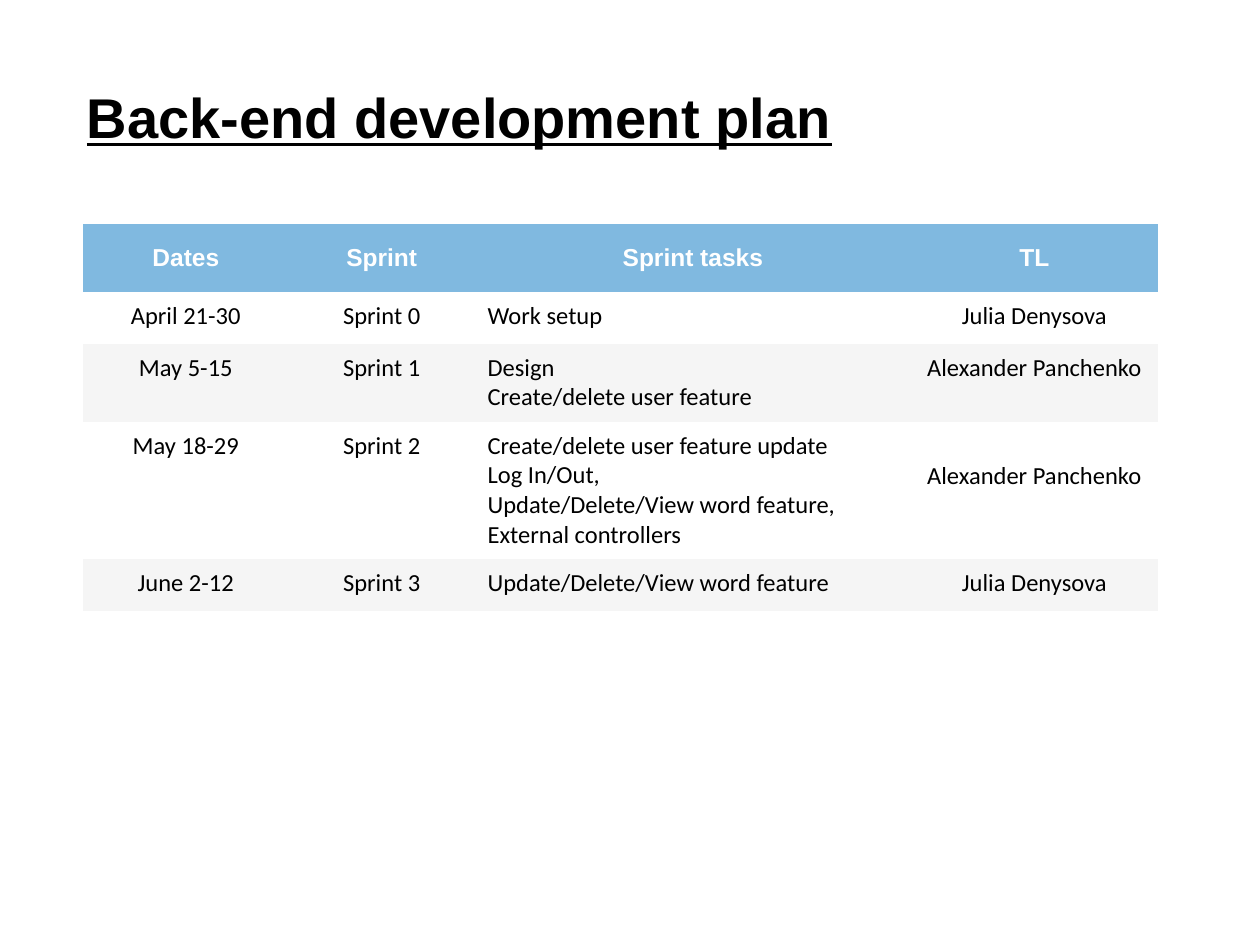
from dataclasses import dataclass
from typing import Optional

from pptx import Presentation
from pptx.dml.color import RGBColor
from pptx.enum.text import MSO_ANCHOR, PP_ALIGN
from pptx.oxml.ns import qn
from pptx.util import Inches, Pt


@dataclass(frozen=True)
class Theme:
    heading_font: str = "Arial"
    body_font: str = "Calibri"
    title_size: int = 32
    table_size: int = 14
    ink: str = "000000"
    header_ink: str = "FFFFFF"
    header_fill: str = "80B9E0"
    band_fill: str = "F5F5F5"
    plain_style: str = "{2D5ABB26-0587-4C30-8999-92F81FD0307C}"


@dataclass(frozen=True)
class Sprint:
    dates: str
    name: str
    tasks: str
    lead: str
    height: float
    lead_drop: float = 0


THEME = Theme()
WIDTH, HEIGHT = Inches(10), Inches(7.5)
HEADINGS = ("Dates", "Sprint", "Sprint tasks", "TL")
COLUMNS = (1.63, 1.48, 3.46, 1.96)
HEADER_HEIGHT = 0.54
TASKS_COLUMN = HEADINGS.index("Sprint tasks")
LEAD_COLUMN = HEADINGS.index("TL")
SPRINTS = (
    Sprint("April 21-30", "Sprint 0", "Work setup", "Julia Denysova", 0.41),
    Sprint("May 5-15", "Sprint 1", "Design\nCreate/delete user feature",
           "Alexander Panchenko", 0.62),
    Sprint("May 18-29", "Sprint 2",
           "Create/delete user feature update\vLog In/Out,\n"
           "Update/Delete/View word feature, External controllers",
           "Alexander Panchenko", 1.09, lead_drop=0.24),
    Sprint("June 2-12", "Sprint 3", "Update/Delete/View word feature",
           "Julia Denysova", 0.41),
)


def write(frame, text: str, *, font: str, size: int, color: str,
          bold: bool = False, underline: bool = False,
          align: PP_ALIGN = PP_ALIGN.LEFT, spacing: float = 1.0) -> None:
    frame.text = text
    frame.word_wrap = True
    for paragraph in frame.paragraphs:
        paragraph.alignment = align
        paragraph.line_spacing = spacing
        for run in paragraph.runs:
            run.font.name = font
            run.font.size = Pt(size)
            run.font.bold = bold
            run.font.underline = underline
            run.font.color.rgb = RGBColor.from_string(color)


def style_cell(cell, fill: Optional[str], side: float, top: float, bottom: float) -> None:
    cell.margin_left = cell.margin_right = Inches(side)
    cell.margin_top, cell.margin_bottom = Inches(top), Inches(bottom)
    cell.vertical_anchor = MSO_ANCHOR.TOP
    if fill:
        cell.fill.solid()
        cell.fill.fore_color.rgb = RGBColor.from_string(fill)
    else:
        cell.fill.background()


def draw_title(slide, text: str) -> None:
    title = slide.shapes.title
    title.left, title.top = int(WIDTH * 0.069), int(HEIGHT * 0.0733)
    title.width, title.height = int(WIDTH * 0.864), int(HEIGHT * 0.0787)
    frame = title.text_frame
    frame.margin_left = frame.margin_right = 0
    frame.margin_top = frame.margin_bottom = 0
    frame.vertical_anchor = MSO_ANCHOR.TOP
    write(frame, text, font=THEME.heading_font, size=THEME.title_size,
          color=THEME.ink, bold=True, underline=True, spacing=1.2)


def draw_plan(slide) -> None:
    heights = (HEADER_HEIGHT, *(sprint.height for sprint in SPRINTS))
    plan = slide.shapes.add_table(
        len(heights), len(COLUMNS), int(WIDTH * 0.066), int(HEIGHT * 0.2373),
        Inches(sum(COLUMNS)), Inches(sum(heights))).table
    plan.horz_banding = False
    plan._tbl.tblPr.find(qn("a:tableStyleId")).text = THEME.plain_style
    for column, width in zip(plan.columns, COLUMNS):
        column.width = Inches(width)
    for row, height in zip(plan.rows, heights):
        row.height = Inches(height)

    for column, heading in enumerate(HEADINGS):
        cell = plan.cell(0, column)
        style_cell(cell, THEME.header_fill, side=0.12, top=0.16, bottom=0.16)
        write(cell.text_frame, heading, font=THEME.heading_font,
              size=THEME.table_size, color=THEME.header_ink, bold=True,
              align=PP_ALIGN.CENTER)

    for row, sprint in enumerate(SPRINTS, start=1):
        fill = THEME.band_fill if row % 2 == 0 else None
        entries = (sprint.dates, sprint.name, sprint.tasks, sprint.lead)
        for column, entry in enumerate(entries):
            drop = sprint.lead_drop if column == LEAD_COLUMN else 0
            cell = plan.cell(row, column)
            style_cell(cell, fill, side=0.1, top=0.07 + drop, bottom=0.07)
            write(cell.text_frame, entry, font=THEME.body_font,
                  size=THEME.table_size, color=THEME.ink,
                  align=PP_ALIGN.LEFT if column == TASKS_COLUMN else PP_ALIGN.CENTER)


def main() -> None:
    deck = Presentation()
    deck.slide_width, deck.slide_height = WIDTH, HEIGHT
    slide = deck.slides.add_slide(deck.slide_layouts.get_by_name("Title Only"))
    draw_title(slide, "Back-end development plan")
    draw_plan(slide)
    deck.save("out.pptx")


if __name__ == "__main__":
    main()
